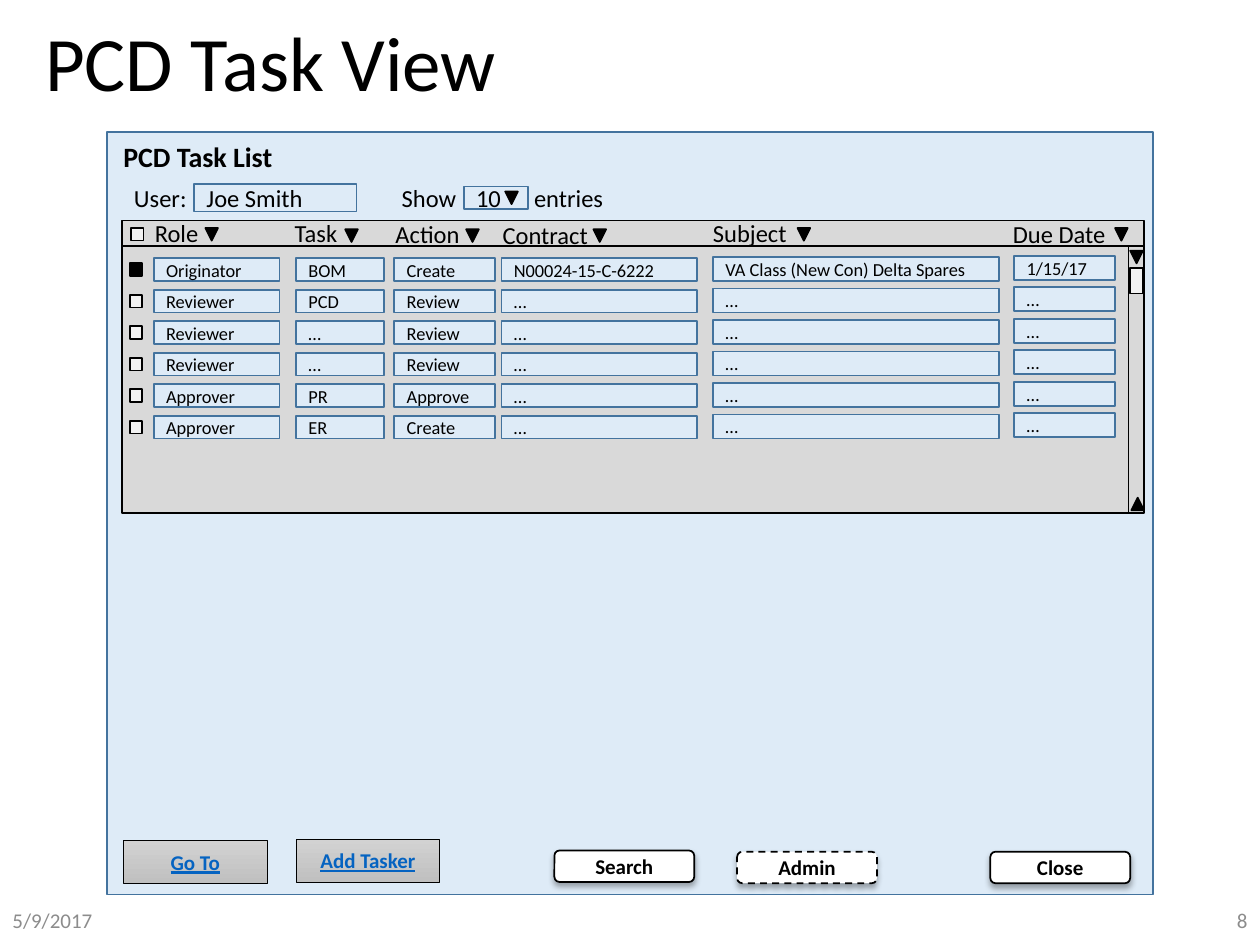
from lxml.etree import SubElement
from pptx import Presentation
from pptx.dml.color import RGBColor
from pptx.enum.dml import MSO_LINE
from pptx.enum.shapes import MSO_CONNECTOR, MSO_SHAPE as Preset
from pptx.enum.text import MSO_ANCHOR as Anchor, PP_ALIGN as Align
from pptx.oxml.ns import qn
from pptx.util import Inches, Pt

COLORS = {
    "black": "000000", "white": "FFFFFF", "panel": "DEEBF7", "border": "43739E",
    "list": "D9D9D9", "box": "F2F2F2", "footer": "8C8C8C", "link": "0563C1",
    "button_top": "D2D2D2", "button_bottom": "C0C0C0",
}


def rgb(name):
    return RGBColor.from_string(COLORS[name])


class Screen:
    font = "Calibri"

    def __init__(self, slide):
        self.slide = slide

    def caption(self, shape, text, size, color="black", align=Align.LEFT,
                bold=False, anchor=Anchor.MIDDLE):
        frame = shape.text_frame
        frame.word_wrap = True
        frame.vertical_anchor = anchor
        frame.text = text
        paragraph = frame.paragraphs[0]
        paragraph.alignment = align
        paragraph.font.name = self.font
        paragraph.font.size = Pt(size)
        paragraph.font.bold = bold
        paragraph.font.color.rgb = rgb(color)
        return paragraph

    def label(self, text, left, top, width, height=0.34, size=14, **style):
        box = self.slide.shapes.add_textbox(
            Inches(left), Inches(top), Inches(width), Inches(height))
        style.setdefault("anchor", Anchor.TOP)
        return self.caption(box, text, size, **style)

    def block(self, left, top, width, height, fill="panel", line="border",
              preset=Preset.RECTANGLE, weight=1):
        shape = self.slide.shapes.add_shape(
            preset, Inches(left), Inches(top), Inches(width), Inches(height))
        shape.shadow.inherit = False
        shape.fill.solid()
        shape.fill.fore_color.rgb = rgb(fill)
        shape.line.color.rgb = rgb(line)
        shape.line.width = Pt(weight)
        return shape

    def field(self, text, left, top, width, height=0.18, size=10.5):
        self.caption(self.block(left, top, width, height), text, size)

    def process(self, left, top, width=0.1, height=0.1, fill="box"):
        self.block(left, top, width, height, fill, "black", Preset.FLOWCHART_PROCESS)

    def arrow(self, left, top, rotation=180):
        triangle = self.block(left, top, 0.1, 0.1, "black", "black",
                              Preset.ISOSCELES_TRIANGLE)
        triangle.rotation = rotation

    def rule(self, x1, y1, x2, y2, weight):
        line = self.slide.shapes.add_connector(
            MSO_CONNECTOR.STRAIGHT, Inches(x1), Inches(y1), Inches(x2), Inches(y2))
        line.line.color.rgb = rgb("black")
        line.line.width = Pt(weight)
        SubElement(line._element.spPr, qn("a:effectLst"))

    def button(self, text, left, top, dashed=False):
        shape = self.block(left, top, 1.11, 0.25, "white", "black",
                           Preset.ROUNDED_RECTANGLE)
        if dashed:
            shape.line.dash_style = MSO_LINE.DASH
        effects = shape._element.spPr.find(qn("a:effectLst"))
        shadow = SubElement(effects, qn("a:outerShdw"), blurRad=str(Pt(3.5)),
                            dist=str(Pt(2.2)), dir="5400000", rotWithShape="0")
        tint = SubElement(shadow, qn("a:srgbClr"), val=COLORS["black"])
        SubElement(tint, qn("a:alpha"), val="32000")
        self.caption(shape, text, 12, align=Align.CENTER, bold=True)

    def link_button(self, text, left, top):
        shape = self.block(left, top, 1.14, 0.34, line="black",
                           preset=Preset.ACTION_BUTTON_CUSTOM, weight=0.5)
        shape.fill.gradient()
        shape.fill.gradient_angle = 270
        for stop, color in zip(shape.fill.gradient_stops, ("button_top", "button_bottom")):
            stop.color.rgb = rgb(color)
        paragraph = self.caption(shape, text, 12, "link", Align.CENTER, True)
        paragraph.font.underline = True


HEADERS = [
    ("Role", 1.13, 1.68, 0.91, 1.63, 1.81),
    ("Task", 2.24, 1.68, 1.25, 2.74, 1.82),
    ("Action", 3.04, 1.69, 1.25, 3.7, 1.82),
    ("Contract", 3.89, 1.7, 1, 4.71, 1.82),
    ("Subject", 5.56, 1.68, 0.8, 6.33, 1.81),
    ("Due Date", 7.94, 1.69, 1.02, 8.85, 1.81),
]
COLUMNS = [
    (1.22, 2.05, 1, 0.18), (2.35, 2.05, 0.7, 0.18), (3.13, 2.05, 0.8, 0.18),
    (3.98, 2.05, 1.55, 0.18), (5.66, 2.04, 2.27, 0.19), (8.05, 2.03, 0.8, 0.19),
]
TASKS = [
    ("Originator", "BOM", "Create", "N00024-15-C-6222",
     "VA Class (New Con) Delta Spares", "1/15/17"),
    ("Reviewer", "PCD", "Review", "…", "…", "…"),
    ("Reviewer", "…", "Review", "…", "…", "…"),
    ("Reviewer", "…", "Review", "…", "…", "…"),
    ("Approver", "PR", "Approve", "…", "…", "…"),
    ("Approver", "ER", "Create", "…", "…", "…"),
]
ROW_STEP = 0.25


def main():
    deck = Presentation()
    deck.slide_width, deck.slide_height = Inches(10), Inches(7.5)
    screen = Screen(deck.slides.add_slide(deck.slide_layouts[6]))

    title = screen.label("PCD Task View", 0.26, 0.09, 9.49, 0.87, 44,
                         anchor=Anchor.MIDDLE)
    title.line_spacing = 0.9
    for text, left, align in (("5/9/2017", 0, Align.LEFT), ("8", 7.75, Align.RIGHT)):
        screen.label(text, left, 7.1, 2.25, 0.4, 12, color="footer",
                     align=align, anchor=Anchor.MIDDLE)

    screen.block(0.85, 1.05, 8.3, 6.05)
    screen.label("PCD Task List", 0.88, 1.06, 4.12, 0.37, 16, bold=True)
    screen.label("User:", 0.96, 1.4, 0.62, align=Align.RIGHT)
    screen.field("Joe Smith", 1.54, 1.46, 1.29, 0.22, 14)
    screen.label("Show", 3.02, 1.4, 0.7, align=Align.RIGHT)
    screen.field("10", 3.68, 1.48, 0.51, size=14)
    screen.arrow(4.01, 1.52)
    screen.label("entries", 4.14, 1.4, 0.77)

    screen.process(0.97, 1.75, 8.11, 2.32, "list")
    screen.rule(8.96, 1.95, 8.96, 4.06, 0.5)
    screen.arrow(8.98, 3.95, 0)
    screen.arrow(8.97, 1.99)
    screen.process(8.97, 2.13, 0.1, 0.2)
    screen.rule(0.97, 1.95, 9.08, 1.95, 1)

    screen.process(1.04, 1.81)
    for text, left, top, width, arrow_left, arrow_top in HEADERS:
        screen.label(text, left, top, width)
        screen.arrow(arrow_left, arrow_top)
    for row, task in enumerate(TASKS):
        offset = row * ROW_STEP
        screen.process(1.03, 2.09 + offset, fill="box" if row else "black")
        for text, (left, top, width, height) in zip(task, COLUMNS):
            screen.field(text, left, top + offset, width, height)

    screen.link_button("Go To", 0.98, 6.67)
    screen.link_button("Add Tasker", 2.35, 6.66)
    screen.button("Search", 4.4, 6.75)
    screen.button("Admin", 5.85, 6.76, dashed=True)
    screen.button("Close", 7.86, 6.76)
    deck.save("out.pptx")


if __name__ == "__main__":
    main()
